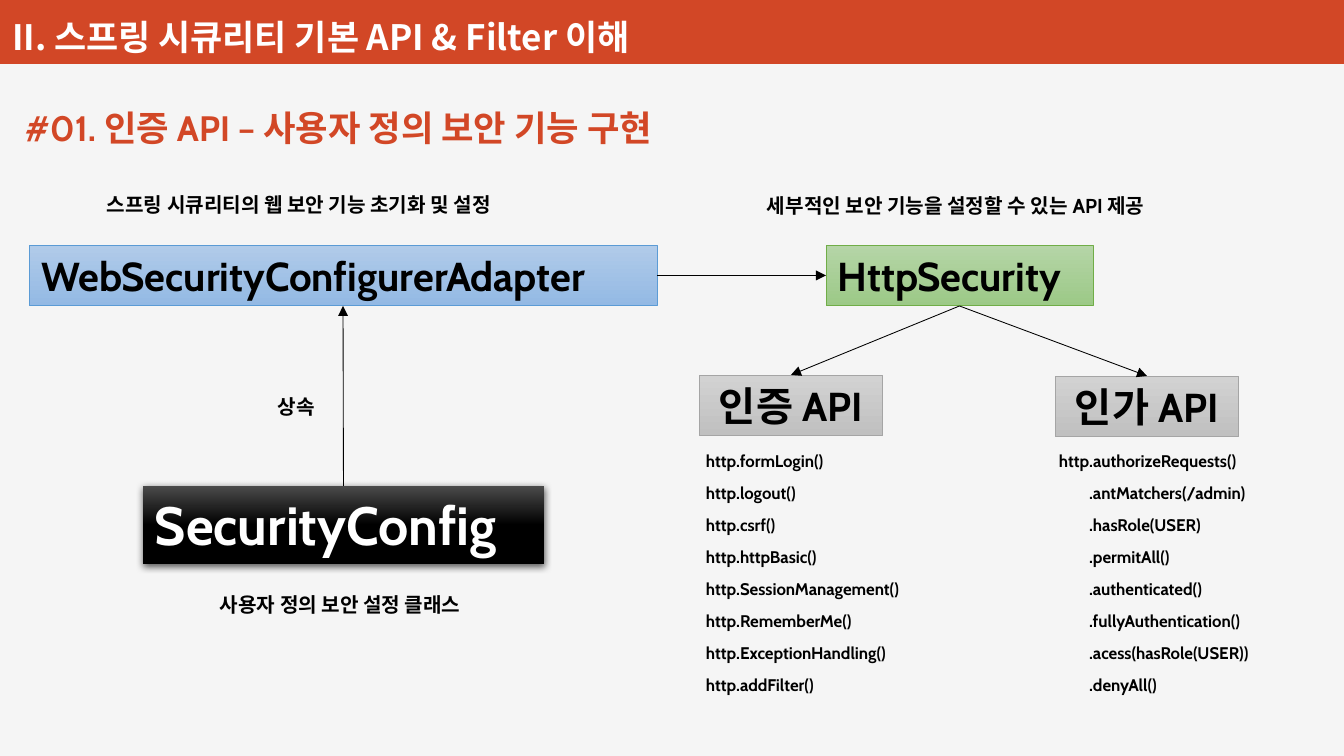
import lxml.etree
import pptx
import pptx.dml.color
import pptx.enum.shapes
import pptx.enum.text
import pptx.oxml
import pptx.oxml.ns
import pptx.util

RGB = pptx.dml.color.RGBColor
ORANGE = RGB(0xD2, 0x47, 0x26)
PAPER = RGB(0xF5, 0xF5, 0xF5)
WHITE = RGB(0xFF, 0xFF, 0xFF)
BLACK = RGB(0, 0, 0)
CHARCOAL = RGB(0x4B, 0x4B, 0x4B)
BLUE_LIGHT, BLUE_DARK, BLUE_LINE = RGB(0xB1, 0xCB, 0xE9), RGB(0x93, 0xB9, 0xE4), RGB(0x5B, 0x9B, 0xD5)
GREEN_LIGHT, GREEN_DARK, GREEN_LINE = RGB(0xB5, 0xD5, 0xA7), RGB(0x9C, 0xC9, 0x87), RGB(0x70, 0xAD, 0x47)
GRAY_LIGHT, GRAY_DARK, GRAY_LINE = RGB(0xD2, 0xD2, 0xD2), RGB(0xC0, 0xC0, 0xC0), RGB(0xA5, 0xA5, 0xA5)

FONT, TITLE_FONT = "Cabin", "Noto Sans CJK KR"
EMU_PER_PX = 7557
SLIDE = (1344, 756)
BAND_HEIGHT = 64
INSET = 12
TOP, LEFT, BOTTOM, RIGHT = range(4)

TITLE = "II. 스프링 시큐리티 기본 API & Filter 이해"

# text, (left, top, width, height), size, colour
LABELS = [
    ("#01. 인증 API – 사용자 정의 보안 기능 구현", (13, 100, 714, 54), 21, ORANGE),
    ("스프링 시큐리티의 웹 보안 기능 초기화 및 설정", (95, 186, 450, 36), 12, BLACK),
    ("세부적인 보안 기능을 설정할 수 있는 API 제공", (755, 187, 448, 36), 12, BLACK),
    ("상속", (266, 388, 65, 36), 12, BLACK),
    ("사용자 정의 보안 설정 클래스", (208, 586, 296, 36), 12, BLACK),
]

# name: text, (left, top, width, height), size, text colour, (from, to, end), line, centred
BLUE = (BLUE_LIGHT, BLUE_DARK, 1)
GREEN = (GREEN_LIGHT, GREEN_DARK, 1)
GRAY = (GRAY_LIGHT, GRAY_DARK, 1)
DARK = (CHARCOAL, BLACK, 0.5)
BOXES = {
    "adapter": ("WebSecurityConfigurerAdapter", (29, 245, 628, 61), 24, BLACK, BLUE, BLUE_LINE, False),
    "http": ("HttpSecurity", (826, 245, 267, 61), 24, BLACK, GREEN, GREEN_LINE, False),
    "config": ("SecurityConfig", (143, 486, 401, 78), 32, WHITE, DARK, None, False),
    "authentication": ("인증 API", (699, 375, 184, 61), 24, BLACK, GRAY, GRAY_LINE, True),
    "authorization": ("인가 API", (1055, 376, 184, 61), 24, BLACK, GRAY, GRAY_LINE, True),
}

ARROWS = [
    ("config", TOP, "adapter", BOTTOM),
    ("adapter", RIGHT, "http", LEFT),
    ("http", BOTTOM, "authentication", TOP),
    ("http", BOTTOM, "authorization", TOP),
]

METHODS = [
    ((694, 445, 248, 258), [
        "http.formLogin()",
        "http.logout()",
        "http.csrf()",
        "http.httpBasic()",
        "http.SessionManagement()",
        "http.RememberMe()",
        "http.ExceptionHandling()",
        "http.addFilter()",
    ]),
    ((1047, 445, 258, 258), [
        "http.authorizeRequests()",
        "        .antMatchers(/admin)",
        "        .hasRole(USER)",
        "        .permitAll()",
        "        .authenticated()",
        "        .fullyAuthentication()",
        "        .acess(hasRole(USER))",
        "        .denyAll()",
    ]),
]

SHADOW = (
    '<a:outerShdw %s blurRad="57150" dist="19050" dir="5400000" algn="ctr" rotWithShape="0">'
    '<a:srgbClr val="000000"><a:alpha val="63000"/></a:srgbClr></a:outerShdw>'
    % pptx.oxml.ns.nsdecls("a")
)


def px(*lengths):
    return [pptx.util.Emu(n * EMU_PER_PX) for n in lengths]


def write(sp, lines, size, color, font=FONT, centred=False, gap=0):
    """Fill a shape with bold lines; gap is the space in points between them."""
    tf = sp.text_frame
    tf.word_wrap = True
    tf.vertical_anchor = pptx.enum.text.MSO_ANCHOR.TOP
    tf.margin_left, tf.margin_right = px(0 if centred else INSET, 0)
    tf.margin_top, tf.margin_bottom = px(6, 6)
    align = pptx.enum.text.PP_ALIGN
    for i, line in enumerate(lines):
        p = tf.add_paragraph() if i else tf.paragraphs[0]
        p.alignment = align.CENTER if centred else align.LEFT
        if i:
            p.space_before = pptx.util.Pt(gap)
        r = p.add_run()
        r.text = line
        r.font.name = font
        r.font.size = pptx.util.Pt(size)
        r.font.bold = True
        r.font.color.rgb = color
        ea = lxml.etree.SubElement(r.font._element, pptx.oxml.ns.qn("a:ea"))
        ea.set("typeface", font)


def add_box(slide, text, place, size, color, shades, line, centred):
    sp = slide.shapes.add_shape(pptx.enum.shapes.MSO_SHAPE.RECTANGLE, *px(*place))
    sp.shadow.inherit = False
    start, stop, end = shades
    sp.fill.gradient()
    sp.fill.gradient_angle = 270
    first, last = sp.fill.gradient_stops
    first.color.rgb, first.position = start, 0
    last.color.rgb, last.position = stop, end
    if line is None:
        sp.line.fill.background()
        effects = sp._element.spPr.find(pptx.oxml.ns.qn("a:effectLst"))
        effects.append(pptx.oxml.parse_xml(SHADOW))
    else:
        sp.line.color.rgb = line
        sp.line.width = pptx.util.Pt(0.5)
    write(sp, [text], size, color, centred=centred)
    return sp


def add_arrow(slide, start, start_side, end, end_side):
    arrow = slide.shapes.add_connector(pptx.enum.shapes.MSO_CONNECTOR.STRAIGHT, 0, 0, 0, 0)
    arrow.begin_connect(start, start_side)
    arrow.end_connect(end, end_side)
    arrow.line.color.rgb = BLACK
    arrow.line.width = pptx.util.Pt(0.5)
    head = lxml.etree.SubElement(arrow.line._get_or_add_ln(), pptx.oxml.ns.qn("a:tailEnd"))
    head.set("type", "triangle")
    lxml.etree.SubElement(arrow._element.spPr, pptx.oxml.ns.qn("a:effectLst"))


def main():
    prs = pptx.Presentation()
    prs.slide_width, prs.slide_height = px(*SLIDE)
    slide = prs.slides.add_slide(prs.slide_layouts[5])
    slide.background.fill.solid()
    slide.background.fill.fore_color.rgb = PAPER

    title = slide.shapes.title
    title.left, title.top, title.width, title.height = px(0, 0, SLIDE[0], BAND_HEIGHT)
    title.fill.solid()
    title.fill.fore_color.rgb = ORANGE
    write(title, [TITLE], 20.8, WHITE, TITLE_FONT)
    title.text_frame.vertical_anchor = pptx.enum.text.MSO_ANCHOR.BOTTOM

    for text, place, size, color in LABELS:
        write(slide.shapes.add_textbox(*px(*place)), [text], size, color)
    boxes = {name: add_box(slide, *box) for name, box in BOXES.items()}
    for start, start_side, end, end_side in ARROWS:
        add_arrow(slide, boxes[start], start_side, boxes[end], end_side)
    for place, lines in METHODS:
        write(slide.shapes.add_textbox(*px(*place)), lines, 10, BLACK, gap=7)

    prs.save("out.pptx")


if __name__ == "__main__":
    main()
